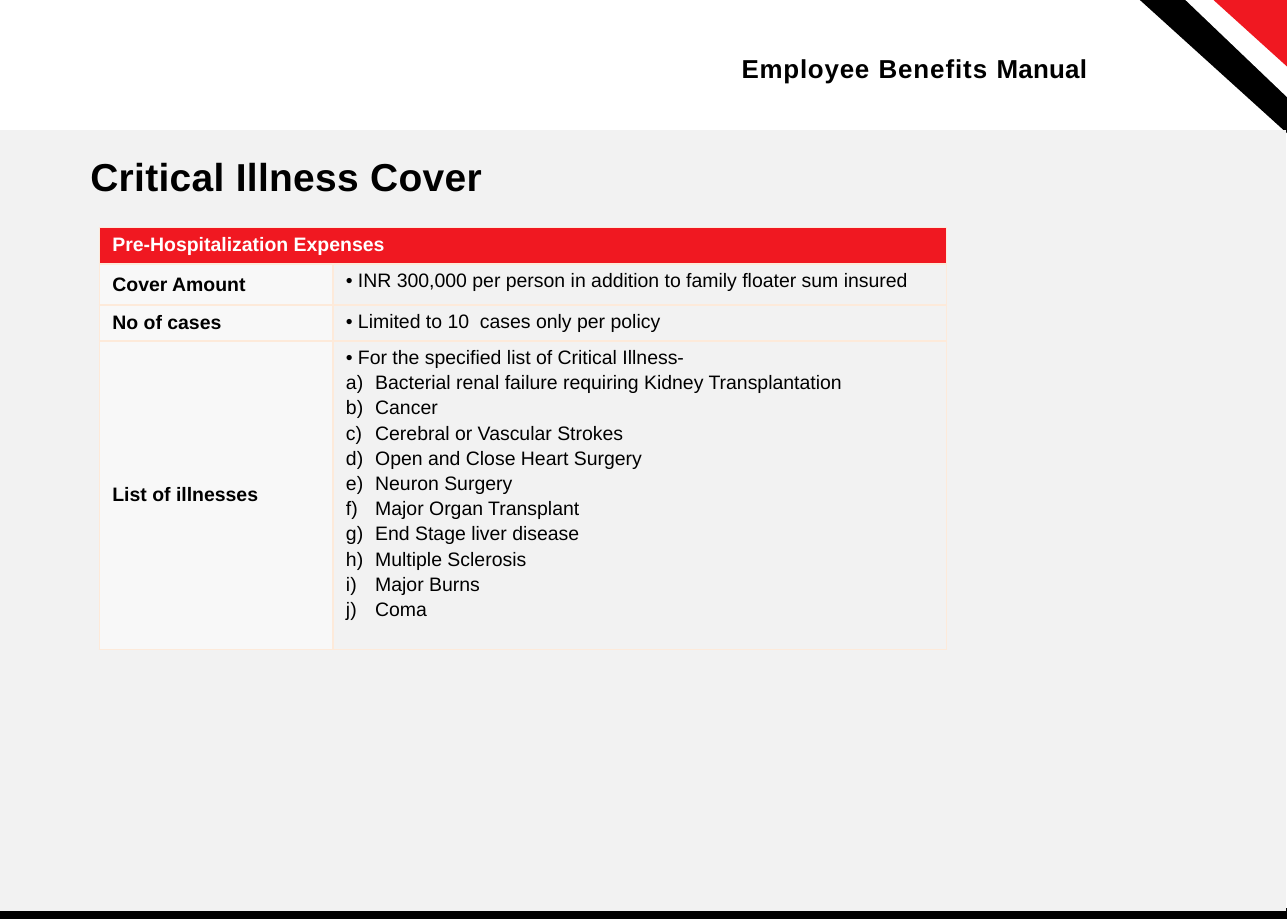
from dataclasses import dataclass
from typing import Optional

from lxml import etree
from pptx import Presentation
from pptx.dml.color import RGBColor
from pptx.enum.text import MSO_ANCHOR, PP_ALIGN
from pptx.oxml.ns import qn
from pptx.util import Pt

LEFT, JUSTIFY = PP_ALIGN.LEFT, PP_ALIGN.JUSTIFY
TOP, MIDDLE = MSO_ANCHOR.TOP, MSO_ANCHOR.MIDDLE
FONT = "Arial"
COLORS = {"black": "000000", "white": "FFFFFF", "red": "F01821",
          "grey": "F2F2F2", "peach": "FDEADA"}
RIGHT_EDGE = 793.4


@dataclass
class Panel:
    color: str
    points: list[tuple[float, float]]


@dataclass
class Heading:
    left: float
    top: float
    width: float
    height: float
    size: float
    runs: list[tuple[str, float]]  # text and letter spacing


@dataclass
class Item:
    text: str
    bullet: Optional[str] = None  # "dot" or "letter"
    align: PP_ALIGN = LEFT


@dataclass
class BenefitRow:
    label: str
    height: float
    items: list[Item]


PANELS = [
    Panel("black", [(0, 559.4), (RIGHT_EDGE, 559.4), (RIGHT_EDGE, 566.6), (0, 566.6)]),
    Panel("black", [(702.7, 0), (775.4, 0), (RIGHT_EDGE, 17.3), (RIGHT_EDGE, 82.1)]),
    Panel("white", [(730.8, 0), (RIGHT_EDGE, 0), (RIGHT_EDGE, 59.8)]),
    Panel("red", [(748.1, 0), (RIGHT_EDGE, 0), (RIGHT_EDGE, 41)]),
    Panel("grey", [(0, 80.4), (792.8, 80.4), (792.8, 561.4), (0, 561.4)]),
]

HEADINGS = [
    Heading(457.2, 32.5, 291, 20, 16,
            [("Employee ", 0.5), ("Benefits ", 0.6), ("Manual", 0.2)]),
    Heading(55.7, 94, 707, 30, 24, [("Critical Illness Cover", 0.2)]),
]

ILLNESSES = [
    "Bacterial renal failure requiring Kidney Transplantation", "Cancer",
    "Cerebral or Vascular Strokes", "Open and Close Heart Surgery",
    "Neuron Surgery", "Major Organ Transplant", "End Stage liver disease",
    "Multiple Sclerosis", "Major Burns", "Coma",
]

TABLE_TITLE = "Pre-Hospitalization Expenses"
TITLE_HEIGHT = 22.3
COLUMN_WIDTHS = [144, 378]
BENEFITS = [
    BenefitRow("Cover Amount", 25.2, [
        Item("INR 300,000 per person in addition to family floater sum insured",
             "dot", JUSTIFY)]),
    BenefitRow("No of cases", 22.3,
               [Item("Limited to 10  cases only per policy", "dot")]),
    BenefitRow("List of illnesses", 190, [
        Item("For the specified list of Critical Illness-", "dot"),
        *[Item(illness, "letter") for illness in ILLNESSES]]),
]


def rgb(name: str) -> RGBColor:
    return RGBColor.from_string(COLORS[name])


def style_run(run, size: float, color: str, bold: bool) -> None:
    run.font.name = FONT
    run.font.size = Pt(size)
    run.font.bold = bold
    run.font.color.rgb = rgb(color)


def draw_panel(slide, panel: Panel) -> None:
    corners = [(Pt(x), Pt(y)) for x, y in panel.points]
    builder = slide.shapes.build_freeform(*corners[0], scale=1.0)
    builder.add_line_segments(corners[1:], close=True)
    shape = builder.convert_to_shape()
    shape.shadow.inherit = False
    shape.fill.solid()
    shape.fill.fore_color.rgb = rgb(panel.color)
    shape.line.fill.background()


def draw_heading(slide, heading: Heading) -> None:
    box = slide.shapes.add_textbox(Pt(heading.left), Pt(heading.top),
                                   Pt(heading.width), Pt(heading.height))
    frame = box.text_frame
    frame.word_wrap = True
    frame.margin_left = frame.margin_right = 0
    frame.margin_top = frame.margin_bottom = 0
    for text, spacing in heading.runs:
        run = frame.paragraphs[0].add_run()
        run.text = text
        style_run(run, heading.size, "black", True)
        run.font._element.set("spc", str(round(spacing * 100)))


def add_bullet(paragraph, kind: str) -> None:
    properties = paragraph._p.get_or_add_pPr()
    indent = Pt(7.4 if kind == "dot" else 18)
    properties.set("marL", str(indent))
    properties.set("indent", str(-indent))
    if kind == "dot":
        etree.SubElement(properties, qn("a:buFont"), typeface=FONT)
        etree.SubElement(properties, qn("a:buChar"), char="•")
    else:
        etree.SubElement(properties, qn("a:buAutoNum"), type="alphaLcParenR")


def add_borders(cell) -> None:
    properties = cell._tc.get_or_add_tcPr()
    for position, side in enumerate(("a:lnL", "a:lnR", "a:lnT", "a:lnB")):
        line = etree.Element(qn(side), w=str(Pt(1)))
        fill = etree.SubElement(line, qn("a:solidFill"))
        etree.SubElement(fill, qn("a:srgbClr"), val=COLORS["peach"])
        properties.insert(position, line)


def fill_cell(cell, items: list[Item], color: str, bold: bool, anchor: MSO_ANCHOR,
              fill: Optional[str] = None, opacity: int = 100) -> None:
    cell.margin_left = cell.margin_right = Pt(7.9)
    cell.margin_top = cell.margin_bottom = Pt(3.6)
    cell.vertical_anchor = anchor
    if fill:
        cell.fill.solid()
        cell.fill.fore_color.rgb = rgb(fill)
        if opacity < 100:
            shade = cell._tc.tcPr.find(".//" + qn("a:srgbClr"))
            etree.SubElement(shade, qn("a:alpha"), val=str(opacity * 1000))
    else:
        cell.fill.background()
    add_borders(cell)
    frame = cell.text_frame
    frame.text = "\n".join(item.text for item in items)
    for index, (paragraph, item) in enumerate(zip(frame.paragraphs, items)):
        if item.bullet:
            add_bullet(paragraph, item.bullet)
        paragraph.alignment = item.align
        paragraph.space_before = Pt(2.1 if index else 0)
        for run in paragraph.runs:
            style_run(run, 12, color, bold)


def draw_benefits_table(slide) -> None:
    heights = [TITLE_HEIGHT] + [benefit.height for benefit in BENEFITS]
    table = slide.shapes.add_table(len(heights), len(COLUMN_WIDTHS), Pt(61.4), Pt(140.4),
                                   Pt(sum(COLUMN_WIDTHS)), Pt(sum(heights))).table
    table.first_row = table.horz_banding = False
    for column, width in zip(table.columns, COLUMN_WIDTHS):
        column.width = Pt(width)
    for row, height in zip(table.rows, heights):
        row.height = Pt(height)
    table.cell(0, 0).merge(table.cell(0, 1))
    fill_cell(table.cell(0, 0), [Item(TABLE_TITLE)], "white", True, TOP, "red")
    for index, benefit in enumerate(BENEFITS, start=1):
        fill_cell(table.cell(index, 0), [Item(benefit.label)], "black", True,
                  MIDDLE, "white", 50)
        fill_cell(table.cell(index, 1), benefit.items, "black", False, TOP)


def main() -> None:
    presentation = Presentation()
    presentation.slide_width, presentation.slide_height = Pt(794), Pt(567)
    slide = presentation.slides.add_slide(presentation.slide_layouts[6])
    # Page background and corner stripes
    for panel in PANELS:
        draw_panel(slide, panel)
    # Manual name and page title
    for heading in HEADINGS:
        draw_heading(slide, heading)
    # Cover details
    draw_benefits_table(slide)
    presentation.save("out.pptx")


if __name__ == "__main__":
    main()
